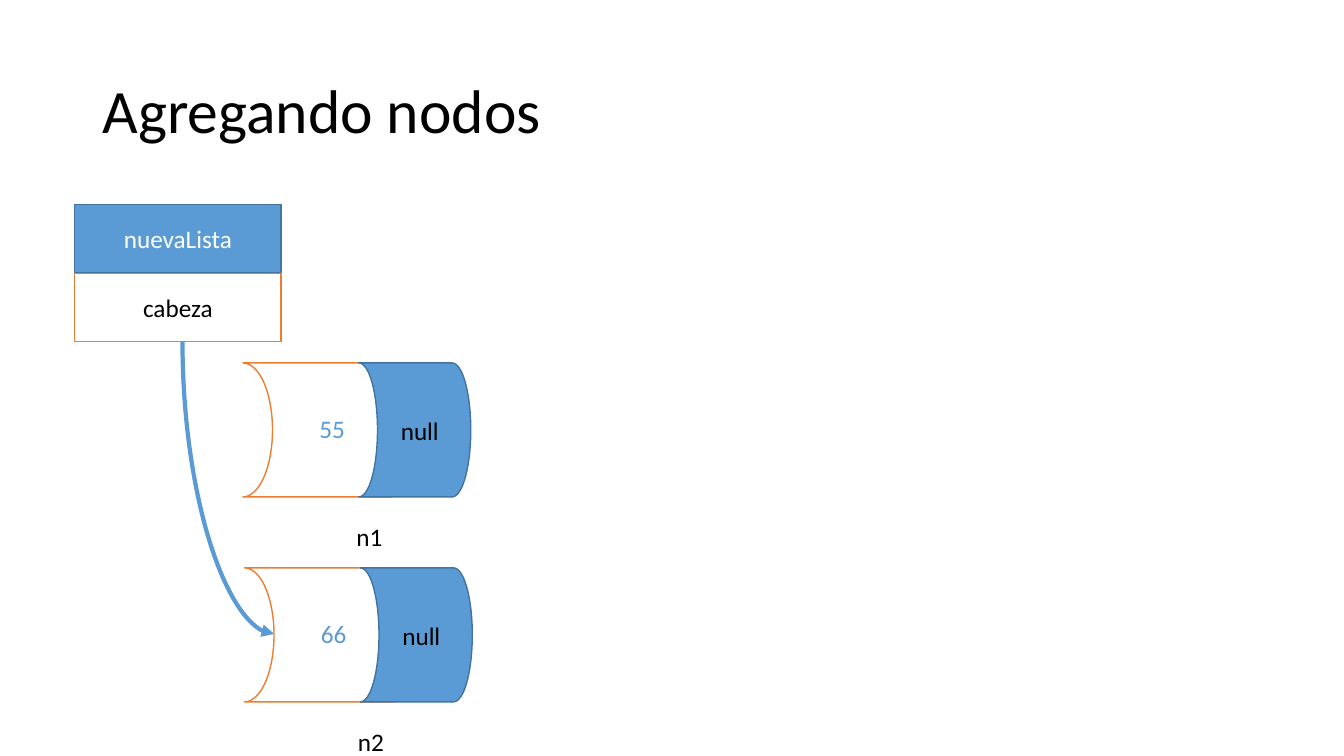
from lxml.etree import SubElement
from pptx import Presentation
from pptx.dml.color import RGBColor
from pptx.enum.shapes import MSO_CONNECTOR, MSO_SHAPE
from pptx.enum.text import MSO_ANCHOR, MSO_AUTO_SIZE, PP_ALIGN
from pptx.oxml.ns import qn
from pptx.util import Inches, Pt

COLORS = {
    "blue": "5B9BD5",
    "dark_blue": "43739E",
    "orange": "ED7D31",
    "white": "FFFFFF",
    "black": "000000",
}
FONT = "Calibri"

presentation = Presentation()
presentation.slide_width = Inches(13.33)
presentation.slide_height = Inches(7.5)
COLUMN = presentation.slide_width / 160
ROW = presentation.slide_height / 90
slide = presentation.slides.add_slide(presentation.slide_layouts[5])


def grid(left, top, width, height):
    return [round(n * unit) for n, unit in
            zip((left, top, width, height), (COLUMN, ROW, COLUMN, ROW))]


def style(shape, text="", color="black", fill=None, line=None):
    if fill:
        shape.shadow.inherit = False
        shape.fill.solid()
        shape.fill.fore_color.rgb = RGBColor.from_string(COLORS[fill])
        shape.line.color.rgb = RGBColor.from_string(COLORS[line])
        shape.line.width = Pt(1)
    if text:
        shape.text_frame.text = text
        paragraph = shape.text_frame.paragraphs[0]
        paragraph.alignment = PP_ALIGN.CENTER
        paragraph.font.name = FONT
        paragraph.font.size = Pt(18)
        paragraph.font.color.rgb = RGBColor.from_string(COLORS[color])


title = slide.shapes.title
title.left, title.top, title.width, title.height = grid(11, 4.8, 138, 17.4)
style(title, "Agregando nodos")
title.text_frame.vertical_anchor = MSO_ANCHOR.MIDDLE
heading = title.text_frame.paragraphs[0]
heading.alignment = PP_ALIGN.LEFT
heading.line_spacing = 0.9
heading.font.size = Pt(44)

start_x, start_y, end_x, end_y = 21.72, 40.56, 32.64, 75.48
center_x, center_y = (start_x + end_x) / 2, (start_y + end_y) / 2
half_length, half_depth = (end_y - start_y) / 2, (end_x - start_x) / 2
arrow = slide.shapes.add_connector(
    MSO_CONNECTOR.CURVE,
    *grid(center_x + half_length, center_y - half_depth,
          center_x - half_length, center_y + half_depth))
arrow.line.color.rgb = RGBColor.from_string(COLORS["blue"])
arrow.line.width = Pt(3)
properties = arrow.element.spPr
properties.find(qn("a:xfrm")).set("rot", str(270 * 60000))
properties.find(qn("a:prstGeom")).set("prst", "curvedConnector2")
SubElement(properties.find(qn("a:ln")), qn("a:tailEnd"), type="triangle")
SubElement(properties, qn("a:effectLst"))

list_group = slide.shapes.add_group_shape()
list_rows = [
    ("nuevaLista", "white", "blue", "dark_blue"),
    ("cabeza", "black", "white", "orange"),
]
for index, (text, color, fill, line) in enumerate(list_rows):
    box = list_group.shapes.add_shape(
        MSO_SHAPE.RECTANGLE, *grid(8.88, 24.36 + 8.22 * index, 24.6, 8.1))
    style(box, text, color, fill, line)
    box.text_frame.vertical_anchor = MSO_ANCHOR.MIDDLE

for index, (name, value) in enumerate([("n1", "55"), ("n2", "66")]):
    left, top = 28.92 + 0.18 * index, 43.2 + 24.4 * index
    node_group = slide.shapes.add_group_shape()
    for offset, width, fill, line in [
        (0, 21.12, "white", "orange"),
        (13.8, 13.32, "blue", "dark_blue"),
    ]:
        part = node_group.shapes.add_shape(
            MSO_SHAPE.FLOWCHART_STORED_DATA, *grid(left + offset, top, width, 15.96))
        part.rotation = 180
        style(part, fill=fill, line=line)
    for text, color, offset_x, offset_y, width in [
        (name, "black", 12.24, 18.24, 5.64),
        ("null", "black", 17.28, 5.6, 7.56),
        (value, "blue", 7.8, 5.4, 5.64),
    ]:
        label = slide.shapes.add_textbox(
            *grid(left + offset_x, top + offset_y, width, 4.8))
        label.text_frame.word_wrap = False
        label.text_frame.auto_size = MSO_AUTO_SIZE.SHAPE_TO_FIT_TEXT
        style(label, text, color)

presentation.save("out.pptx")
